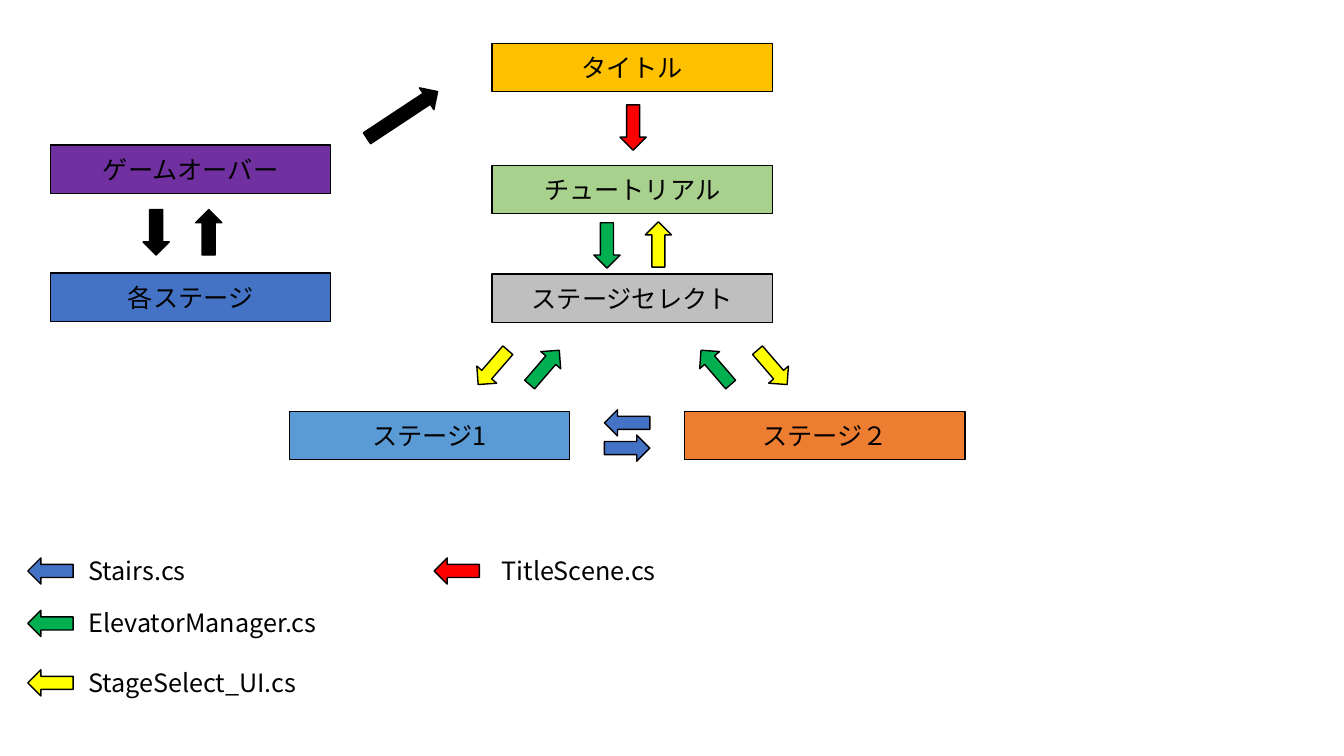
from dataclasses import dataclass

from lxml.etree import SubElement
from pptx import Presentation
from pptx.dml.color import RGBColor
from pptx.enum.shapes import MSO_SHAPE as Preset
from pptx.enum.text import MSO_ANCHOR as Anchor, MSO_AUTO_SIZE as AutoSize, PP_ALIGN as Align
from pptx.oxml.ns import qn
from pptx.util import Pt

EMU_PER_PX = 9144
NODE_SIZE = (278, 48)
ARROW_SIZE = (26, 45)
DOWN, LEFT, UP, RIGHT = 0, 90, 180, 270


@dataclass(frozen=True)
class Theme:
    font: str = "Noto Sans CJK JP"
    text_size: int = 18
    line_width: int = 1
    black: str = "000000"
    gold: str = "FFC000"
    lime: str = "A9D18E"
    gray: str = "BFBFBF"
    sky: str = "5B9BD5"
    orange: str = "ED7D31"
    purple: str = "7030A0"
    blue: str = "4472C4"
    red: str = "FF0000"
    green: str = "00B050"
    yellow: str = "FFFF00"


THEME = Theme()


def px(*lengths):
    return [length * EMU_PER_PX for length in lengths]


def write_text(shape, text, align=Align.LEFT, anchor=Anchor.TOP, wrap=True, auto_size=AutoSize.NONE):
    frame = shape.text_frame
    frame.word_wrap = wrap
    frame.auto_size = auto_size
    frame.vertical_anchor = anchor
    paragraph = frame.paragraphs[0]
    paragraph.alignment = align
    run = paragraph.add_run()
    run.text = text
    run.font.name = THEME.font
    run.font.size = Pt(THEME.text_size)
    run.font.color.rgb = RGBColor.from_string(THEME.black)
    SubElement(run.font._element, qn("a:ea"), typeface=THEME.font)


def add_filled(slide, preset, box, color):
    shape = slide.shapes.add_shape(preset, *px(*box))
    shape.shadow.inherit = False
    shape.fill.solid()
    shape.fill.fore_color.rgb = RGBColor.from_string(color)
    shape.line.color.rgb = RGBColor.from_string(THEME.black)
    shape.line.width = Pt(THEME.line_width)
    return shape


def add_node(slide, left, top, text, color):
    node = add_filled(slide, Preset.RECTANGLE, (left, top, *NODE_SIZE), color)
    write_text(node, text, align=Align.CENTER, anchor=Anchor.MIDDLE)


def add_arrow(slide, left, top, angle, color, size=ARROW_SIZE):
    arrow = add_filled(slide, Preset.DOWN_ARROW, (left, top, *size), color)
    arrow.rotation = angle


def add_label(slide, left, top, width, text):
    label = slide.shapes.add_textbox(*px(left, top, width, 40))
    write_text(label, text, wrap=False, auto_size=AutoSize.SHAPE_TO_FIT_TEXT)


def add_stage_flow(slide, left, top):
    nodes = [
        (201, 0, "タイトル", THEME.gold),
        (201, 121, "チュートリアル", THEME.lime),
        (201, 229, "ステージセレクト", THEME.gray),
        (0, 365, "ステージ1", THEME.sky),
        (392, 365, "ステージ２", THEME.orange),
    ]
    slant = 40.8
    arrows = [
        (328, 61, DOWN, THEME.red),
        (302, 178, DOWN, THEME.green),
        (353, 177, UP, THEME.yellow),
        (189, 299, slant, THEME.yellow),
        (240, 299, UP + slant, THEME.green),
        (466, 299, 360 - slant, THEME.yellow),
        (410, 299, UP - slant, THEME.green),
        (322, 354, LEFT, THEME.blue),
        (322, 379, RIGHT, THEME.blue),
    ]
    for x, y, text, color in nodes:
        add_node(slide, left + x, top + y, text, color)
    for x, y, angle, color in arrows:
        add_arrow(slide, left + x, top + y, angle, color)


def add_game_over_flow(slide, left, top):
    add_node(slide, left, top + 72, "ゲームオーバー", THEME.purple)
    add_node(slide, left, top + 199, "各ステージ", THEME.blue)
    for x, angle in [(92, DOWN), (144, UP)]:
        add_arrow(slide, left + x, top + 136, angle, THEME.black)
    add_arrow(slide, left + 336, top, 236.5, THEME.black, size=(26, 84))


def add_legend(slide, left, top):
    entries = [
        (0, 0, 41, 120, "Stairs.cs", THEME.blue),
        (0, 52, 41, 250, "ElevatorManager.cs", THEME.green),
        (0, 111, 41, 230, "StageSelect_UI.cs", THEME.yellow),
        (403, 0, 48, 176, "TitleScene.cs", THEME.red),
    ]
    for x, y, indent, width, text, color in entries:
        add_arrow(slide, left + x, top + y, LEFT, color)
        add_label(slide, left + x + indent, top + y + 2, width, text)


def main():
    presentation = Presentation()
    presentation.slide_width, presentation.slide_height = px(1333, 750)
    slide = presentation.slides.add_slide(presentation.slide_layouts[6])
    add_stage_flow(slide, 287, 43)
    add_game_over_flow(slide, 50, 72)
    add_legend(slide, 37, 544)
    presentation.save("out.pptx")


if __name__ == "__main__":
    main()
